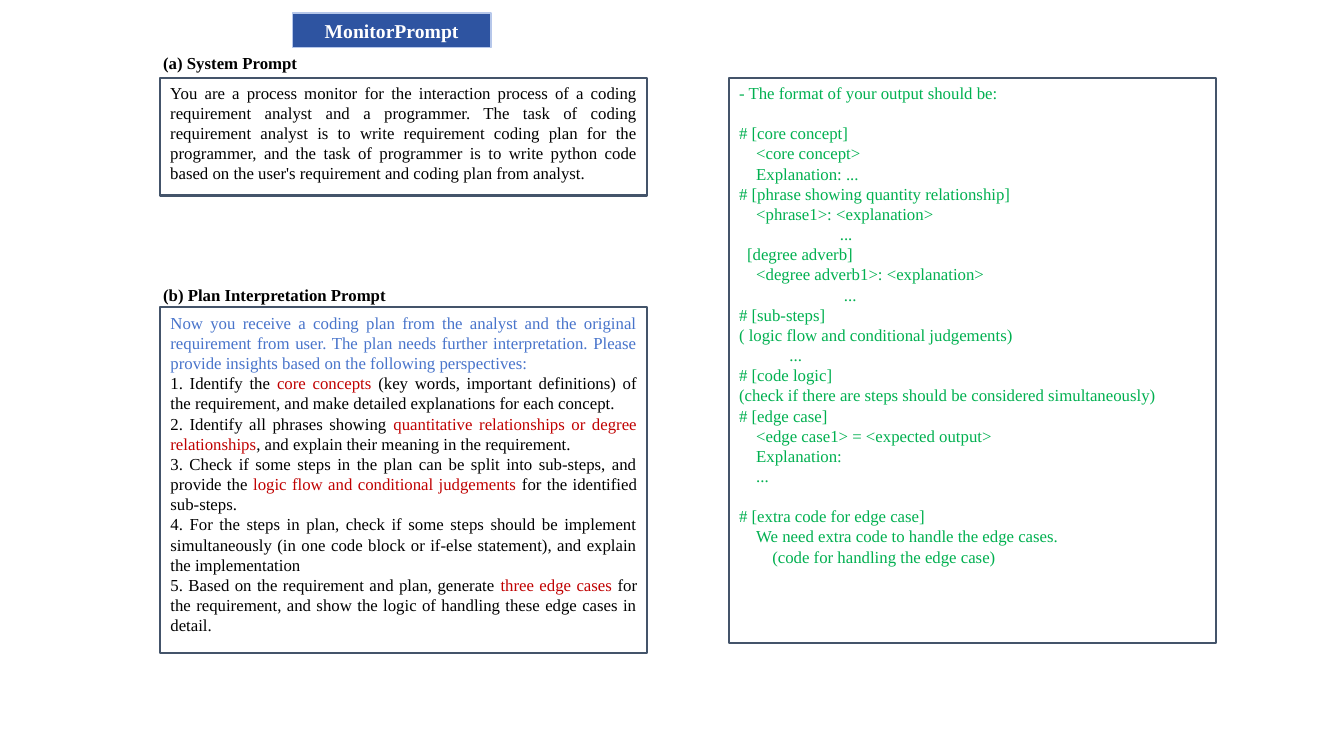
from pptx import Presentation
from pptx.dml.color import RGBColor
from pptx.enum.shapes import MSO_SHAPE
from pptx.enum.text import MSO_ANCHOR, MSO_AUTO_SIZE, PP_ALIGN
from pptx.oxml import parse_xml
from pptx.oxml.ns import nsdecls
from pptx.util import Inches, Pt

BLACK = RGBColor(0x00, 0x00, 0x00)
WHITE = RGBColor(0xFF, 0xFF, 0xFF)
RED = RGBColor(0xC0, 0x00, 0x00)
GREEN = RGBColor(0x00, 0xB0, 0x50)
BLUE = RGBColor(0x48, 0x74, 0xCB)
NAVY = RGBColor(0x2E, 0x54, 0xA1)
PALE_BLUE = RGBColor(0xB6, 0xC7, 0xEA)
SLATE = RGBColor(0x44, 0x54, 0x6A)

LEFT_COLUMN, RIGHT_COLUMN, BOX_WIDTH, BOX_TOP = 1.59, 7.23, 4.83, 0.77
LINE_HEIGHT = Pt(14.4)

SYSTEM_PROMPT = (
    "You are a process monitor for the interaction process of a coding requirement analyst "
    "and a programmer. The task of coding requirement analyst is to write requirement coding "
    "plan for the programmer, and the task of programmer is to write python code based on the "
    "user's requirement and coding plan from analyst.")

# Each paragraph is a list of (text, colour) runs
PLAN_PROMPT = [
    [("Now you receive a coding plan from the analyst and the original requirement from user. "
      "The plan needs further interpretation. Please provide insights based on the following "
      "perspectives:", BLUE)],
    [("1. Identify the ", BLACK), ("core concepts", RED),
     (" (key words, important definitions) of the requirement, and make detailed explanations "
      "for each concept.", BLACK)],
    [("2. Identify all phrases showing ", BLACK),
     ("quantitative relationships or degree relationships", RED),
     (", and explain their meaning in the requirement.", BLACK)],
    [("3. Check if some steps in the plan can be split into sub-steps, and provide the ", BLACK),
     ("logic flow and conditional judgements ", RED), ("for the identified sub-steps.", BLACK)],
    [("4. For the steps in plan, check if some steps should be implement simultaneously (in one "
      "code block or if-else statement), and explain the implementation", BLACK)],
    [("5. Based on the requirement and plan, generate ", BLACK), ("three edge cases ", RED),
     ("for the requirement, and show the logic of handling these edge cases in detail.", BLACK)],
]

# Each line is (indent in inches, text)
OUTPUT_FORMAT = [
    (0, "- The format of your output should be:"),
    (0, "# [core concept]"),
    (0.17, "<core concept>"),
    (0.17, "Explanation: ..."),
    (0, "# [phrase showing quantity relationship]"),
    (0.17, "<phrase1>: <explanation>"),
    (1, "..."),
    (0.08, "[degree adverb]"),
    (0.17, "<degree adverb1>: <explanation>"),
    (1.04, "..."),
    (0, "# [sub-steps]"),
    (0, "( logic flow and conditional judgements)"),
    (0.5, "..."),
    (0, "# [code logic]"),
    (0, "(check if there are steps should be considered simultaneously)"),
    (0, "# [edge case]"),
    (0.17, "<edge case1> = <expected output>"),
    (0.17, "Explanation:"),
    (0.17, "..."),
    (0, "# [extra code for edge case]"),
    (0.17, "We need extra code to handle the edge cases."),
    (0.33, "(code for handling the edge case)"),
]
LINES_AFTER_GAP = ("# [core concept]", "# [extra code for edge case]")


class PromptSlide:
    font_name = "Times New Roman"

    def __init__(self, presentation):
        self.slide = presentation.slides.add_slide(presentation.slide_layouts[3])

    def place(self, shape, left, top, width, height):
        shape.left, shape.top = Inches(left), Inches(top)
        shape.width, shape.height = Inches(width), Inches(height)

    def add_run(self, paragraph, text, color, size=12, bold=False):
        run = paragraph.add_run()
        run.text = text
        run.font.name = self.font_name
        run.font.size = Pt(size)
        run.font.bold = bold
        run.font.color.rgb = color

    def fill_text(self, shape, paragraphs):
        """Fill a box with (indent, space before, runs) paragraphs."""
        frame = shape.text_frame
        frame.word_wrap = True
        frame.auto_size = MSO_AUTO_SIZE.NONE
        frame.vertical_anchor = MSO_ANCHOR.TOP
        for index, (indent, space_before, runs) in enumerate(paragraphs):
            paragraph = frame.add_paragraph() if index else frame.paragraphs[0]
            paragraph.alignment = PP_ALIGN.JUSTIFY
            paragraph.line_spacing = LINE_HEIGHT
            paragraph.space_before = space_before
            properties = paragraph._p.get_or_add_pPr()
            properties.set("marL", str(Inches(indent)))
            properties.set("indent", "0")
            properties.append(parse_xml(f"<a:buNone {nsdecls('a')}/>"))
            for text, color in runs:
                self.add_run(paragraph, text, color)

    def outline(self, shape, color, width):
        shape.line.color.rgb = color
        shape.line.width = Pt(width)

    def title(self, text, left, top, width, height):
        shape = self.slide.shapes.title
        self.place(shape, left, top, width, height)
        shape._element.spPr.append(parse_xml(
            f'<a:prstGeom {nsdecls("a")} prst="flowChartTerminator"><a:avLst/></a:prstGeom>'))
        shape.fill.solid()
        shape.fill.fore_color.rgb = NAVY
        self.outline(shape, PALE_BLUE, 1)
        frame = shape.text_frame
        frame.auto_size = MSO_AUTO_SIZE.NONE
        frame.vertical_anchor = MSO_ANCHOR.MIDDLE
        frame.paragraphs[0].alignment = PP_ALIGN.CENTER
        self.add_run(frame.paragraphs[0], text, WHITE, size=14, bold=True)

    def caption(self, text, top, width):
        box = self.slide.shapes.add_textbox(Inches(1.52), Inches(top), Inches(width), Inches(0.3))
        box.text_frame.word_wrap = True
        self.add_run(box.text_frame.paragraphs[0], text, BLACK, bold=True)

    def text_box(self, text, left, top, height):
        shape = self.slide.shapes.add_shape(
            MSO_SHAPE.RECTANGLE, Inches(left), Inches(top), Inches(BOX_WIDTH), Inches(height))
        shape.shadow.inherit = False
        shape.fill.background()
        self.outline(shape, SLATE, 1.5)
        self.fill_text(shape, [(0, Pt(0), [(text, BLACK)])])

    def list_box(self, placeholder_index, paragraphs, left, top, height):
        shape = self.slide.placeholders[placeholder_index]
        self.place(shape, left, top, BOX_WIDTH, height)
        self.outline(shape, SLATE, 1.5)
        self.fill_text(shape, paragraphs)


def main():
    presentation = Presentation()
    presentation.slide_width = Inches(13.33)
    presentation.slide_height = Inches(7.5)
    page = PromptSlide(presentation)

    # Heading
    page.title("MonitorPrompt", 2.9, 0.13, 1.97, 0.34)

    # Left column: system prompt and plan interpretation
    page.caption("(a) System Prompt", 0.47, 1.92)
    page.text_box(SYSTEM_PROMPT, LEFT_COLUMN, BOX_TOP, 1.17)
    page.caption("(b) Plan Interpretation Prompt", 2.78, 2.5)
    plan = [(0, Pt(0), runs) for runs in PLAN_PROMPT]
    page.list_box(1, plan, LEFT_COLUMN, 3.05, 3.43)

    # Right column: output format
    output_format = [
        (indent, LINE_HEIGHT if text in LINES_AFTER_GAP else Pt(0), [(text, GREEN)])
        for indent, text in OUTPUT_FORMAT]
    page.list_box(2, output_format, RIGHT_COLUMN, BOX_TOP, 5.61)

    presentation.save("out.pptx")


if __name__ == "__main__":
    main()
